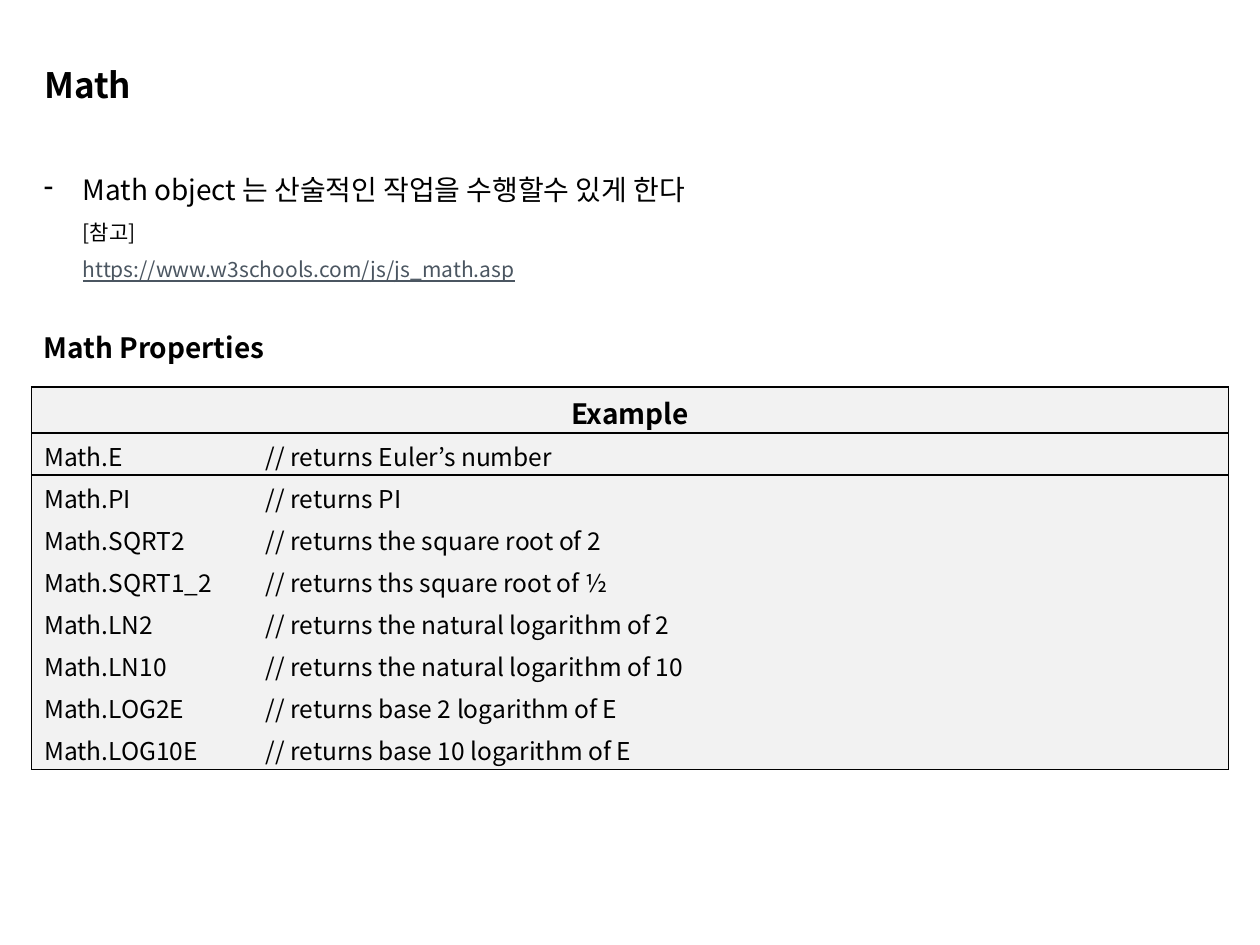
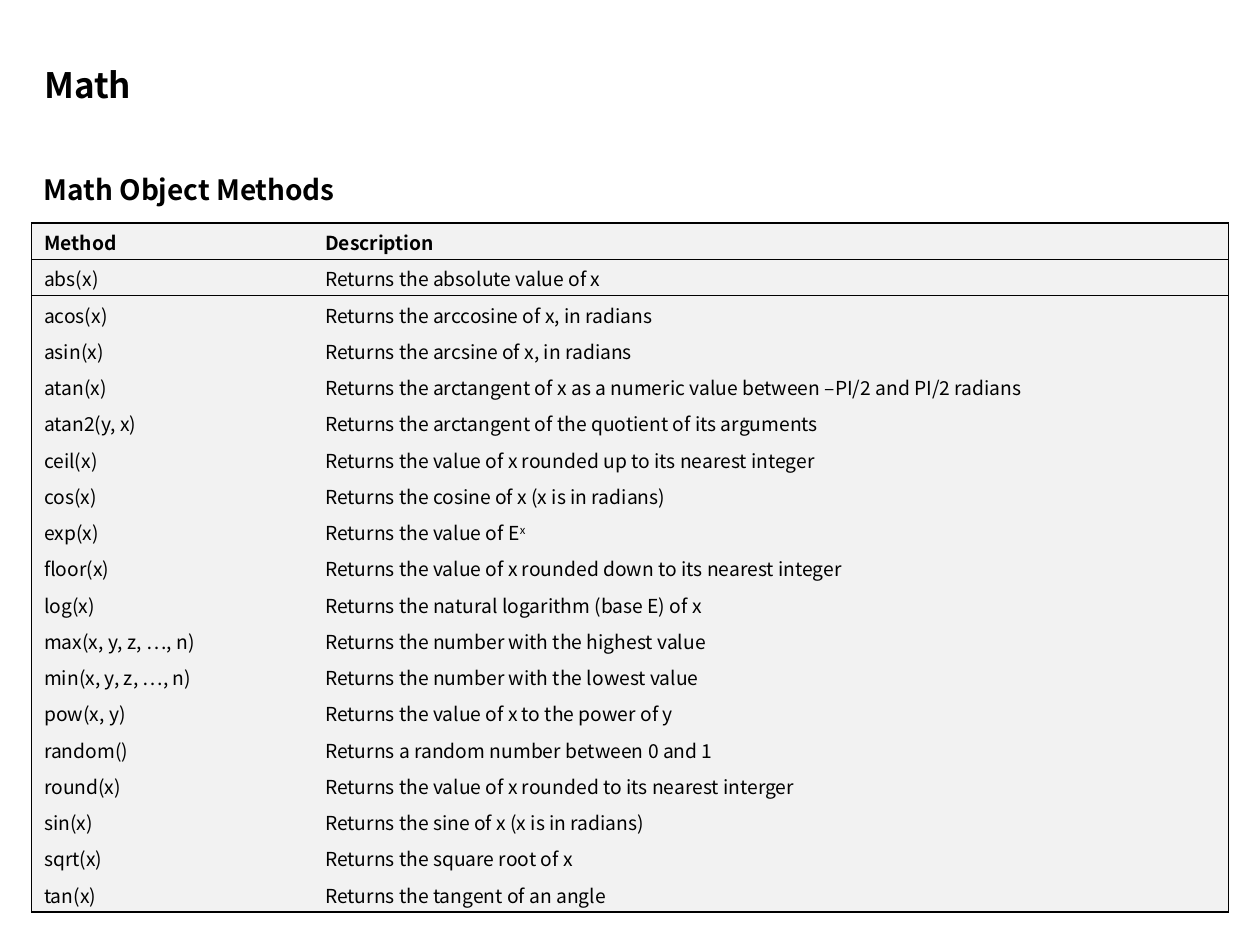
from dataclasses import dataclass

import pptx
import pptx.dml.color
import pptx.enum.text
import pptx.oxml.ns
import pptx.presentation
import pptx.slide
import pptx.table
import pptx.text.text
import pptx.util
from lxml import etree
from pptx.util import Inches

BLACK = pptx.dml.color.RGBColor(0x00, 0x00, 0x00)
LINK_GREY = pptx.dml.color.RGBColor(0x4B, 0x56, 0x61)
CELL_GREY = pptx.dml.color.RGBColor(0xF2, 0xF2, 0xF2)
FONT = "Noto Sans CJK KR"
PLAIN_TABLE_STYLE = "{2D5ABB26-0587-4C30-8999-92F81FD0307C}"

LEFT, WIDTH = Inches(0.25), Inches(9.5)
TITLE_TOP, TITLE_HEIGHT = Inches(0.29), Inches(0.7)
INTRO_TOP = Inches(1.19)
BULLET_INDENT = Inches(0.31)
qn = pptx.oxml.ns.qn


@dataclass(frozen=True)
class Line:
    text: str
    size: int = 16
    bold: bool = False
    color: pptx.dml.color.RGBColor = BLACK
    underline: bool = False
    indented: bool = False
    bullet: str = ""
    space_before: int = 0


@dataclass(frozen=True)
class Reference:
    """A framed two-column table; a single heading spans both columns."""
    top: float
    first_column: float
    header_height: float
    row_height: float
    header_size: int
    body_size: int
    headings: tuple[str, ...]
    rows: tuple[tuple[str, str], ...]


@dataclass(frozen=True)
class Page:
    intro_height: float
    intro: tuple[Line, ...]
    reference: Reference


PAGES = (
    Page(
        1.83,
        (
            Line("Math object 는 산술적인 작업을 수행할수 있게 한다",
                 indented=True, bullet="-"),
            Line("[참고]", 12, indented=True),
            Line("https://www.w3schools.com/js/js_math.asp", 12,
                 color=LINK_GREY, underline=True, indented=True),
            Line("Math Properties", bold=True, space_before=18),
        ),
        Reference(3.07, 1.76, 0.365, 0.334, 16, 14, ("Example",), (
            ("Math.E", "// returns Euler’s number"),
            ("Math.PI", "// returns PI"),
            ("Math.SQRT2", "// returns the square root of 2"),
            ("Math.SQRT1_2", "// returns ths square root of ½"),
            ("Math.LN2", "// returns the natural logarithm of 2"),
            ("Math.LN10", "// returns the natural logarithm of 10"),
            ("Math.LOG2E", "// returns base 2 logarithm of E"),
            ("Math.LOG10E", "// returns base 10 logarithm of E"),
        )),
    ),
    Page(
        0.51,
        (Line("Math Object Methods", bold=True),),
        # A caret marks the start of a superscript
        Reference(1.77, 2.23, 0.288, 0.288, 11, 11, ("Method", "Description"), (
            ("abs(x)", "Returns the absolute value of x"),
            ("acos(x)", "Returns the arccosine of x, in radians"),
            ("asin(x)", "Returns the arcsine of x, in radians"),
            ("atan(x)", "Returns the arctangent of x as a numeric value "
                        "between –PI/2 and PI/2 radians"),
            ("atan2(y, x)", "Returns the arctangent of the quotient of its arguments"),
            ("ceil(x)", "Returns the value of x rounded up to its nearest integer"),
            ("cos(x)", "Returns the cosine of x (x is in radians)"),
            ("exp(x)", "Returns the value of E^x"),
            ("floor(x)", "Returns the value of x rounded down to its nearest integer"),
            ("log(x)", "Returns the natural logarithm (base E) of x"),
            ("max(x, y, z, …, n)", "Returns the number with the highest value"),
            ("min(x, y, z, …, n)", "Returns the number with the lowest value"),
            ("pow(x, y)", "Returns the value of x to the power of y"),
            ("random()", "Returns a random number between 0 and 1"),
            ("round(x)", "Returns the value of x rounded to its nearest interger"),
            ("sin(x)", "Returns the sine of x (x is in radians)"),
            ("sqrt(x)", "Returns the square root of x"),
            ("tan(x)", "Returns the tangent of an angle"),
        )),
    ),
)


def format_run(run: pptx.text.text._Run, line: Line) -> None:
    font = run.font
    font.size = pptx.util.Pt(line.size)
    font.bold = line.bold
    font.underline = line.underline
    font.color.rgb = line.color
    font.name = FONT
    etree.SubElement(run._r.get_or_add_rPr(), qn("a:ea"), typeface=FONT)


def write_line(paragraph: pptx.text.text._Paragraph, line: Line) -> None:
    base, _, superscript = line.text.partition("^")
    paragraph.text = base
    if superscript:
        raised = paragraph.add_run()
        raised.text = superscript
        raised._r.get_or_add_rPr().set("baseline", "30000")
    for run in paragraph.runs:
        format_run(run, line)


def write_spaced(frame: pptx.text.text.TextFrame, lines: tuple[Line, ...]) -> None:
    frame.word_wrap = True
    frame.auto_size = pptx.enum.text.MSO_AUTO_SIZE.NONE
    frame.vertical_anchor = pptx.enum.text.MSO_ANCHOR.TOP
    for index, line in enumerate(lines):
        paragraph = frame.add_paragraph() if index else frame.paragraphs[0]
        write_line(paragraph, line)
        paragraph.alignment = pptx.enum.text.PP_ALIGN.LEFT
        paragraph.line_spacing = 1.5
        if line.space_before:
            paragraph.space_before = pptx.util.Pt(line.space_before)
        properties = paragraph._p.get_or_add_pPr()
        if line.indented:
            properties.set("marL", str(BULLET_INDENT))
        if line.bullet:
            properties.set("indent", str(-BULLET_INDENT))
            etree.SubElement(properties, qn("a:buChar"), char=line.bullet)


def add_borders(cell: pptx.table._Cell, sides: str) -> None:
    """Draw the given sides, written in the order L, R, T, B."""
    properties = cell._tc.get_or_add_tcPr()
    for side in sides:
        border = etree.SubElement(properties, qn(f"a:ln{side}"),
                                  w=str(pptx.util.Pt(1)))
        fill = etree.SubElement(border, qn("a:solidFill"))
        etree.SubElement(fill, qn("a:srgbClr"), val=str(BLACK))


def add_reference(slide: pptx.slide.Slide, reference: Reference) -> None:
    spanning = len(reference.headings) == 1
    header = (reference.headings[0], "") if spanning else reference.headings
    rows = (header, *reference.rows)
    height = reference.header_height + reference.row_height * len(reference.rows)
    table = slide.shapes.add_table(len(rows), 2, LEFT, Inches(reference.top),
                                   WIDTH, Inches(height)).table
    table.first_row = table.horz_banding = False
    table._tbl.tblPr.find(qn("a:tableStyleId")).text = PLAIN_TABLE_STYLE
    table.columns[0].width = Inches(reference.first_column)
    table.columns[1].width = WIDTH - Inches(reference.first_column)

    for row, texts in enumerate(rows):
        is_header = row == 0
        table.rows[row].height = Inches(
            reference.header_height if is_header else reference.row_height)
        size = reference.header_size if is_header else reference.body_size
        for column, text in enumerate(texts):
            cell = table.cell(row, column)
            cell.margin_top, cell.margin_bottom = Inches(0.04), 0
            # Outer frame and the rule under the header
            sides = "L" if column == 0 else "R"
            if spanning and is_header:
                sides = "LR"
            if row <= 1:
                sides += "T"
            if is_header or row == len(rows) - 1:
                sides += "B"
            add_borders(cell, sides)
            cell.fill.solid()
            cell.fill.fore_color.rgb = CELL_GREY
            if text:
                write_line(cell.text_frame.paragraphs[0],
                           Line(text, size, bold=is_header))
    if spanning:
        heading = table.cell(0, 0)
        heading.merge(table.cell(0, 1))
        heading.text_frame.paragraphs[0].alignment = pptx.enum.text.PP_ALIGN.CENTER


def add_page(deck: pptx.presentation.Presentation, page: Page) -> None:
    slide = deck.slides.add_slide(deck.slide_layouts[5])

    # Title
    title = slide.shapes.title
    title.left, title.top, title.width, title.height = (
        LEFT, TITLE_TOP, WIDTH, TITLE_HEIGHT)
    write_spaced(title.text_frame, (Line("Math", 20, bold=True),))

    # Introduction and table heading
    intro = slide.shapes.add_textbox(LEFT, INTRO_TOP, WIDTH,
                                     Inches(page.intro_height))
    write_spaced(intro.text_frame, page.intro)

    add_reference(slide, page.reference)


def main() -> None:
    deck = pptx.Presentation()
    deck.slide_width, deck.slide_height = Inches(10), Inches(7.5)
    for page in PAGES:
        add_page(deck, page)
    deck.save("out.pptx")


if __name__ == "__main__":
    main()
